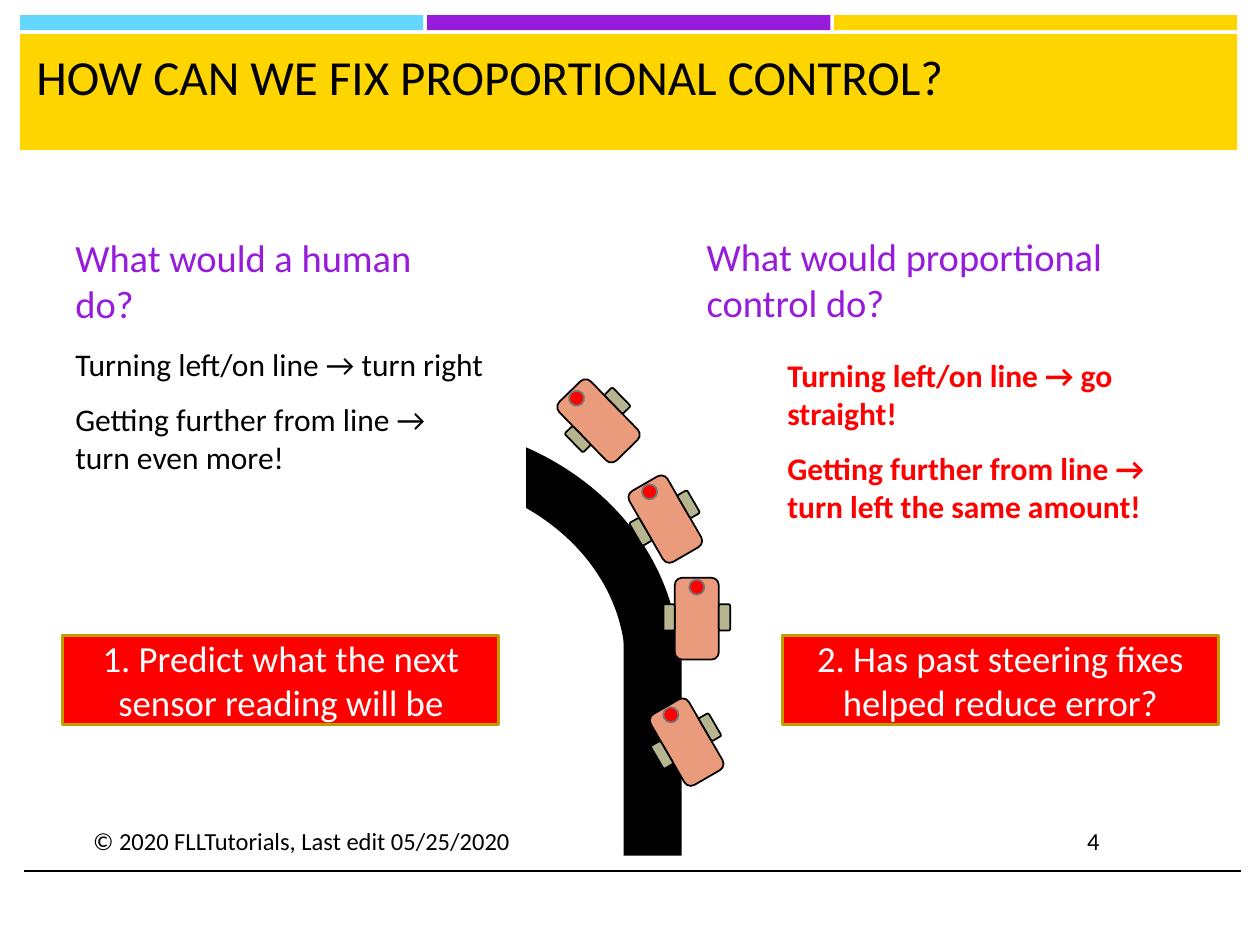
import math

from lxml import etree
from pptx import Presentation
from pptx import util as u
from pptx.dml.color import RGBColor
from pptx.enum import shapes, text
from pptx.oxml.ns import qn

THEME = {
    "font": "Calibri",
    "title": 28, "heading": 22, "callout_size": 21, "body": 18, "footer": 14,
    "black": "000000", "white": "FFFFFF", "red": "FF0000",
    "sky": "65D7FF", "purple": "961BDB", "gold": "FFD500", "dark_gold": "BD9E00",
    "robot": "EA9B7C", "wheel": "B6B590", "grey": "777777",
}
SHAPE = shapes.MSO_SHAPE
ANCHOR = text.MSO_ANCHOR

TITLE = "HOW CAN WE FIX PROPORTIONAL CONTROL?"
HEADINGS = [
    ("What would a human do?", (0.5, 2.17, 3, 0.47)),
    ("What would proportional control do?", (5.51, 2.16, 4.18, 0.47)),
]
ANSWERS = [
    (["Turning left/on line → turn right",
      "Getting further from line → turn even more!"],
     (0.5, 2.69, 3.46, 2.41), "black", False),
    (["Turning left/on line → go straight!",
      "Getting further from line → turn left the same amount!"],
     (6.15, 2.78, 3.39, 2.41), "red", True),
]
CALLOUTS = [
    ("1. Predict what the next sensor reading will be", 0.5),
    ("2. Has past steering fixes helped reduce error?", 6.21),
]
FOOTERS = [
    ("© 2020 FLLTutorials, Last edit 05/25/2020", (0.64, 6.51, 5.33, 0.4)),
    ("4", (8.53, 6.51, 0.84, 0.4)),
]
# Centre x, centre y, rotation in degrees
ROBOTS = [(5.45, 5.89, -30), (5.53, 4.91, 0), (5.28, 4.12, -30), (4.75, 3.34, -44.2)]
# Preset, offset from the robot's centre, size, fill, line
ROBOT_PARTS = [
    (SHAPE.ROUNDED_RECTANGLE, (0, 0), (0.35, 0.65), "robot", "black"),
    (SHAPE.ROUNDED_RECTANGLE, (0.22, -0.01), (0.09, 0.21), "wheel", "black"),
    (SHAPE.ROUNDED_RECTANGLE, (-0.22, -0.01), (0.09, 0.21), "wheel", "black"),
    (SHAPE.OVAL, (0, -0.25), (0.12, 0.12), "red", "grey"),
]


def color(name):
    return RGBColor.from_string(THEME[name])


def add_shape(page, preset, place, fill=None, line=None, width=1, rotation=0):
    shape = page.shapes.add_shape(preset, *map(u.Inches, place))
    shape.shadow.inherit = False
    shape.rotation = rotation
    if fill:
        shape.fill.solid()
        shape.fill.fore_color.rgb = color(fill)
    else:
        shape.fill.background()
    if line:
        shape.line.color.rgb = color(line)
        shape.line.width = u.Pt(width)
    else:
        shape.line.fill.background()
    return shape


def write(box, lines, size, ink="black", bold=False, anchor=ANCHOR.TOP,
          align=text.PP_ALIGN.LEFT, before=0, after=0):
    frame = box.text_frame
    frame.word_wrap = True
    frame.vertical_anchor = anchor
    for index, line in enumerate(lines):
        para = frame.add_paragraph() if index else frame.paragraphs[0]
        para.alignment = align
        para.space_before = u.Pt(before if index else 0)
        para.space_after = u.Pt(after)
        span = para.add_run()
        span.text = line
        span.font.name = THEME["font"]
        span.font.size = u.Pt(THEME[size])
        span.font.bold = bold
        span.font.color.rgb = color(ink)


def add_text(page, lines, place, size, **style):
    write(page.shapes.add_textbox(*map(u.Inches, place)), lines, size, **style)


def add_frame(page):
    """Draw the colour bars, the title band and the footer rule."""
    for index, fill in enumerate(("sky", "purple", "gold")):
        add_shape(page, SHAPE.RECTANGLE, (0.16 + index * 3.23, 0.12, 3.2, 0.12), fill)
    add_shape(page, SHAPE.RECTANGLE, (0.16, 0.27, 9.66, 0.92), "gold")
    rule = page.shapes.add_connector(
        shapes.MSO_CONNECTOR.STRAIGHT, *map(u.Inches, (0.19, 6.91, 9.85, 6.91)))
    rule.line.color.rgb = color("black")
    rule.line.width = u.Pt(1)
    etree.SubElement(rule._element.spPr, qn("a:effectLst"))


def add_track(page):
    """Draw the bending line; a white patch hides the start of the arc."""
    add_shape(page, SHAPE.RECTANGLE, (4.95, 5.07, 0.46, 1.72), "black")
    add_shape(page, SHAPE.ARC, (1.18, 3.56, 4, 3.44), line="black", width=31)
    add_shape(page, SHAPE.RECTANGLE, (2.75, 2.89, 1.41, 1.23), "white", "white", 1.75)


def add_robot(page, center_x, center_y, degrees):
    cos, sin = math.cos(math.radians(degrees)), math.sin(math.radians(degrees))
    for preset, (dx, dy), (width, height), fill, line in ROBOT_PARTS:
        left = center_x + dx * cos - dy * sin - width / 2
        top = center_y + dx * sin + dy * cos - height / 2
        add_shape(page, preset, (left, top, width, height), fill, line,
                  rotation=degrees)


def main():
    deck = Presentation()
    deck.slide_width, deck.slide_height = u.Inches(10), u.Inches(7.5)
    page = deck.slides.add_slide(deck.slide_layouts[6])
    add_frame(page)
    add_track(page)
    for robot in ROBOTS:
        add_robot(page, *robot)
    add_text(page, [TITLE], (0.19, 0.32, 9.57, 0.82), "title")
    for heading, place in HEADINGS:
        add_text(page, [heading], place, "heading", ink="purple", anchor=ANCHOR.BOTTOM)
    for lines, place, ink, bold in ANSWERS:
        add_text(page, lines, place, "body", ink=ink, bold=bold, before=3.6, after=6)
    for callout, left in CALLOUTS:
        box = add_shape(page, SHAPE.RECTANGLE, (left, 5.04, 3.46, 0.71),
                        "red", "dark_gold", 1.75)
        write(box, [callout], "callout_size", ink="white", anchor=ANCHOR.MIDDLE,
              align=text.PP_ALIGN.CENTER)
    for footer, place in FOOTERS:
        add_text(page, [footer], place, "footer")
    deck.save("out.pptx")


if __name__ == "__main__":
    main()
